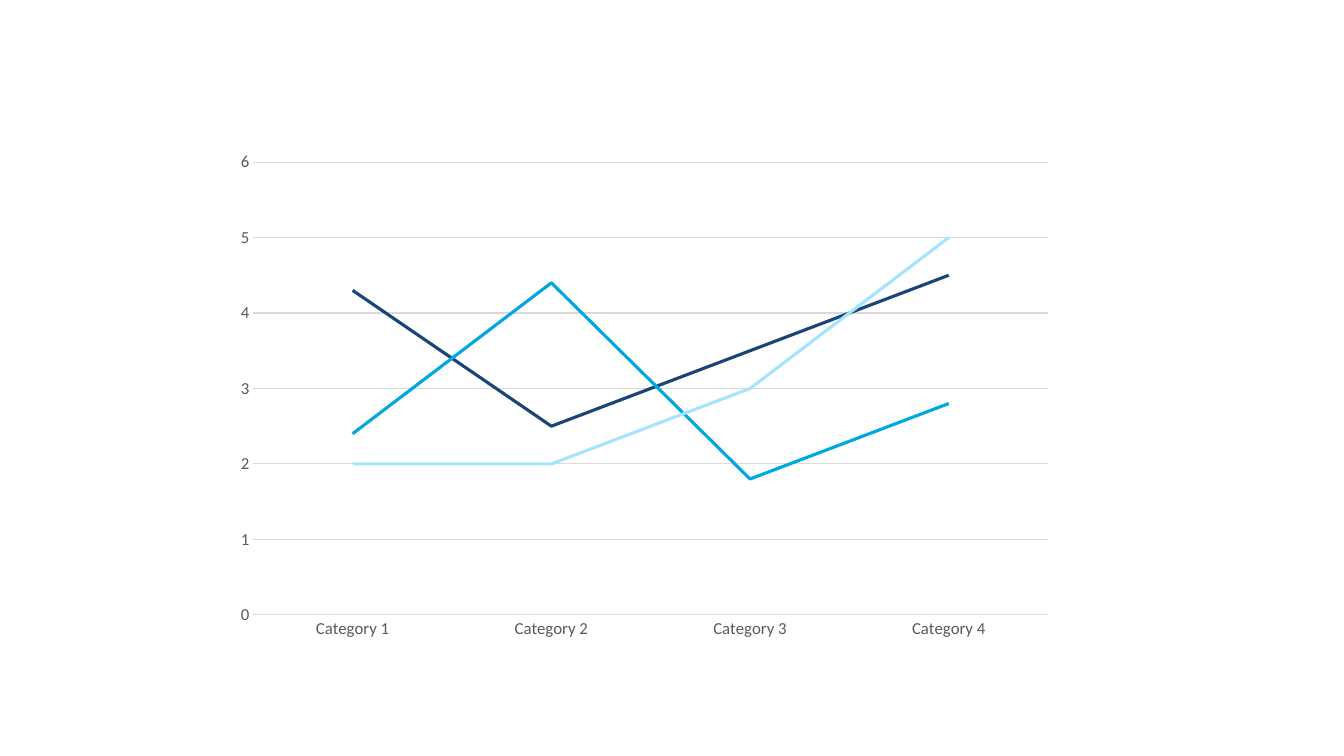
import pptx
import pptx.chart.data
import pptx.dml.color
import pptx.enum.chart
import pptx.util

CATEGORIES = ["Category 1", "Category 2", "Category 3", "Category 4"]
SERIES = [
    ("Series 1", (4.3, 2.5, 3.5, 4.5), "navy"),
    ("Series 2", (2.4, 4.4, 1.8, 2.8), "blue"),
    ("Series 3", (2, 2, 3, 5), "pale"),
]
COLORS = {
    "navy": "1B4479",
    "blue": "00A7E1",
    "pale": "A6E3FF",
    "label": "595959",
    "grid": "D9D9D9",
}
FONT = "Calibri"
SLIDE_SIZE = (1344, 756)
CHART_BOX = (224, 142, 841, 507)
EMU_PER_PX = 914400 / 100.8
BLANK_LAYOUT = 6


def px(length):
    return pptx.util.Emu(round(length * EMU_PER_PX))


def rgb(name):
    return pptx.dml.color.RGBColor.from_string(COLORS[name])


def style_line(line, color, width):
    line.color.rgb = rgb(color)
    line.width = pptx.util.Pt(width)


def style_axis(axis):
    axis.major_tick_mark = pptx.enum.chart.XL_TICK_MARK.NONE
    axis.minor_tick_mark = pptx.enum.chart.XL_TICK_MARK.NONE
    font = axis.tick_labels.font
    font.name = FONT
    font.size = pptx.util.Pt(12)
    font.color.rgb = rgb("label")


def add_line_chart(slide):
    data = pptx.chart.data.CategoryChartData()
    data.categories = CATEGORIES
    for name, values, color in SERIES:
        data.add_series(name, values)
    chart = slide.shapes.add_chart(
        pptx.enum.chart.XL_CHART_TYPE.LINE, *map(px, CHART_BOX), data
    ).chart
    chart.has_title = False
    chart.has_legend = False
    chart.font.name = FONT
    chart.font.size = pptx.util.Pt(10)

    plot = chart.plots[0]
    plot.vary_by_categories = False
    for series, (name, values, color) in zip(plot.series, SERIES):
        series.smooth = False
        series.marker.style = pptx.enum.chart.XL_MARKER_STYLE.NONE
        style_line(series.format.line, color, 2.25)

    style_axis(chart.category_axis)
    style_line(chart.category_axis.format.line, "grid", 0.75)

    value_axis = chart.value_axis
    style_axis(value_axis)
    value_axis.minimum_scale = 0
    value_axis.maximum_scale = 6
    value_axis.major_unit = 1
    value_axis.format.line.fill.background()
    value_axis.has_major_gridlines = True
    style_line(value_axis.major_gridlines.format.line, "grid", 0.75)


def main():
    presentation = pptx.Presentation()
    presentation.slide_width, presentation.slide_height = map(px, SLIDE_SIZE)
    slide = presentation.slides.add_slide(presentation.slide_layouts[BLANK_LAYOUT])
    add_line_chart(slide)
    presentation.save("out.pptx")


if __name__ == "__main__":
    main()
